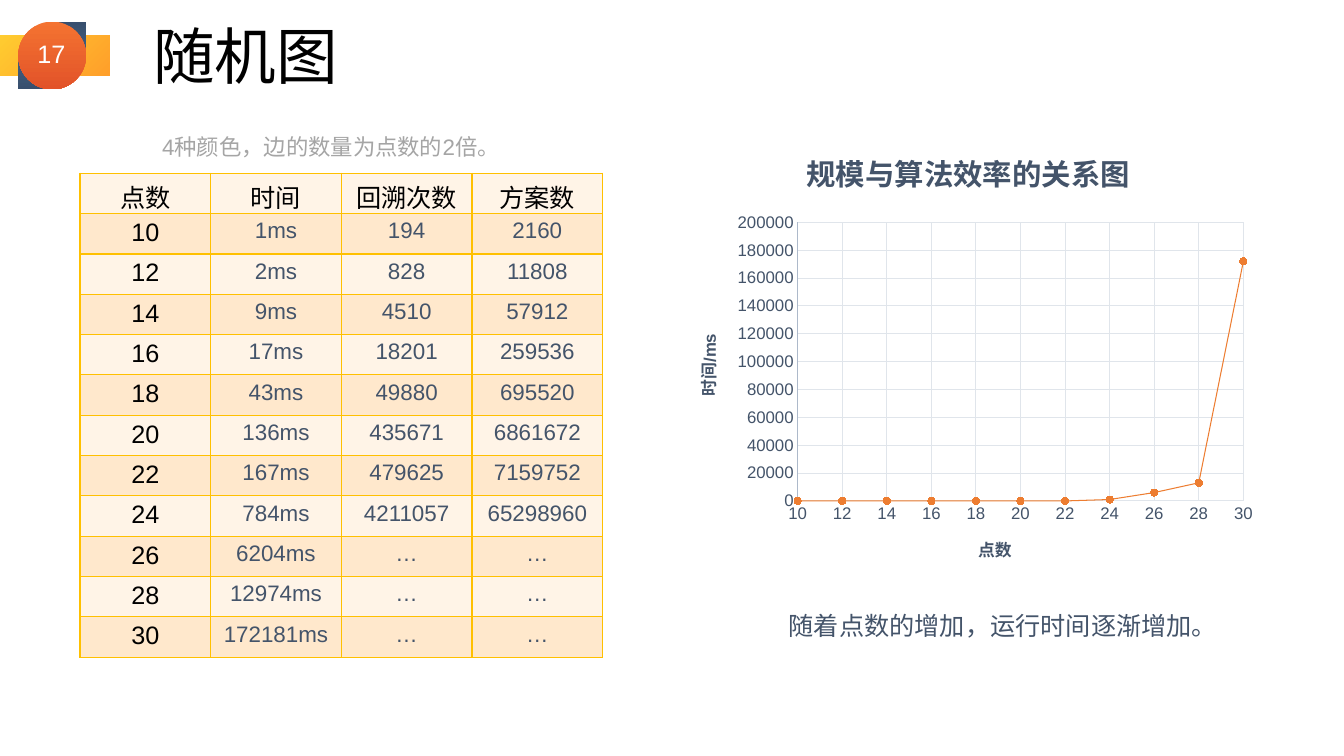
from lxml.etree import SubElement
from pptx import Presentation
from pptx.chart.data import XyChartData
from pptx.dml.color import RGBColor
from pptx.enum.chart import XL_CHART_TYPE, XL_MARKER_STYLE, XL_TICK_MARK
from pptx.enum.shapes import MSO_SHAPE
from pptx.enum.text import MSO_ANCHOR, MSO_AUTO_SIZE, PP_ALIGN
from pptx.oxml import parse_xml
from pptx.oxml.ns import nsdecls, qn
from pptx.util import Pt

BLACK = RGBColor(0x00, 0x00, 0x00)
WHITE = RGBColor(0xFF, 0xFF, 0xFF)
SLATE = RGBColor(0x44, 0x54, 0x6A)
GREY = RGBColor(0xA5, 0xA5, 0xA5)
GRID = RGBColor(0xE0, 0xE5, 0xEB)
AXIS = RGBColor(0xAD, 0xB9, 0xCA)
SERIES = RGBColor(0xED, 0x7D, 0x31)
MARKER = RGBColor(0xF6, 0x7B, 0x28)
BORDER = RGBColor(0xFF, 0xC0, 0x00)
BANDS = (RGBColor(0xFF, 0xF4, 0xE7), RGBColor(0xFF, 0xE8, 0xCC))
YELLOWS = (RGBColor(0xFF, 0xCC, 0x30), RGBColor(0xFF, 0x9F, 0x2A))
BLUES = (RGBColor(0x38, 0x4F, 0x6E), RGBColor(0x4A, 0x6C, 0x90))
ORANGES = (RGBColor(0xF4, 0x73, 0x31), RGBColor(0xE2, 0x53, 0x29))
FONT = "Arial"

TITLE = "随机图"
PAGE = "17"
CONDITION = "4种颜色，边的数量为点数的2倍。"
CONCLUSION = "随着点数的增加，运行时间逐渐增加。"
CHART_TITLE, X_TITLE, Y_TITLE = "规模与算法效率的关系图", "点数", "时间/ms"
HEADER = ("点数", "时间", "回溯次数", "方案数")
RESULTS = [  # points, milliseconds, backtracks, solutions
    (10, 1, "194", "2160"),
    (12, 2, "828", "11808"),
    (14, 9, "4510", "57912"),
    (16, 17, "18201", "259536"),
    (18, 43, "49880", "695520"),
    (20, 136, "435671", "6861672"),
    (22, 167, "479625", "7159752"),
    (24, 784, "4211057", "65298960"),
    (26, 6204, "…", "…"),
    (28, 12974, "…", "…"),
    (30, 172181, "…", "…"),
]
# shape, left, top, width, height, rotation, gradient, angle
BADGE = [
    (MSO_SHAPE.RECTANGLE, 0, 25.3, 78.5, 28.4, 0, YELLOWS, 315),
    (MSO_SHAPE.TEAR, 20.2, 15.4, 41.6, 41.6, 0, BLUES, 270),
    (MSO_SHAPE.TEAR, 13, 22.3, 41.6, 41.6, 180, BLUES, 270),
    (MSO_SHAPE.OVAL, 13, 15.4, 48.5, 48.5, 0, ORANGES, 270),
]
COL_W, ROW_H = 93.35, 28.8
CHART_W, CHART_H = 422.6, 324


def add_run(p, text, size, color, bold=False):
    r = p.add_run()
    r.text = text
    r.font.name, r.font.size, r.font.bold = FONT, Pt(size), bold
    r.font.color.rgb = color


def add_text(s, text, box, size, color, align=PP_ALIGN.LEFT):
    tf = s.shapes.add_textbox(*map(Pt, box)).text_frame
    tf.word_wrap = False
    tf.paragraphs[0].alignment = align
    add_run(tf.paragraphs[0], text, size, color)


def add_badge(s):
    for kind, x, y, w, h, rotation, colors, angle in BADGE:
        sp = s.shapes.add_shape(kind, Pt(x), Pt(y), Pt(w), Pt(h))
        sp.shadow.inherit = False
        sp.rotation = rotation
        sp.line.fill.background()
        sp.fill.gradient()
        sp.fill.gradient_angle = angle
        for stop, color in zip(sp.fill.gradient_stops, colors):
            stop.color.rgb = color
    add_text(s, PAGE, (18.3, 23.8, 36.7, 29), 18, WHITE, PP_ALIGN.CENTER)


def set_borders(cell):
    tcPr = cell._tc.get_or_add_tcPr()
    for i, side in enumerate(("lnL", "lnR", "lnT", "lnB")):
        tcPr.insert(i, parse_xml(
            f'<a:{side} {nsdecls("a")} w="{Pt(1)}"><a:solidFill>'
            f'<a:srgbClr val="{BORDER}"/></a:solidFill></a:{side}>'))


def add_results_table(s):
    rows = [HEADER] + [(str(n), f"{ms}ms", back, found) for n, ms, back, found in RESULTS]
    n_rows, n_cols = len(rows), len(HEADER)
    table = s.shapes.add_table(n_rows, n_cols, Pt(57.1), Pt(123.8),
                               Pt(COL_W * n_cols), Pt(ROW_H * n_rows)).table
    for col in table.columns:
        col.width = Pt(COL_W)
    for i, values in enumerate(rows):
        table.rows[i].height = Pt(ROW_H)
        for j, value in enumerate(values):
            cell = table.cell(i, j)
            cell.fill.solid()
            cell.fill.fore_color.rgb = BANDS[i % 2]
            cell.margin_top, cell.margin_bottom = Pt(3.6), Pt(0)
            set_borders(cell)
            p = cell.text_frame.paragraphs[0]
            p.alignment = PP_ALIGN.CENTER
            heading = i == 0 or j == 0
            add_run(p, value, 18 if heading else 16, BLACK if heading else SLATE)


def place(element, index, **lengths):
    """Give a chart part a manual layout, in points from the chart's corner."""
    layout = element.find(qn("c:layout"))
    if layout is None:
        layout = parse_xml(f'<c:layout {nsdecls("c")}/>')
        element.insert(index, layout)
    manual = SubElement(layout, qn("c:manualLayout"))
    if "w" in lengths:
        SubElement(manual, qn("c:layoutTarget")).set("val", "inner")
    for name in ("xMode", "yMode"):
        SubElement(manual, qn(f"c:{name}")).set("val", "edge")
    for name, value in lengths.items():
        whole = CHART_W if name in "xw" else CHART_H
        SubElement(manual, qn(f"c:{name}")).set("val", str(value / whole))


def set_title(title, text, size, x, y):
    add_run(title.text_frame.paragraphs[0], text, size, SLATE, True)
    place(title.element, 1, x=x, y=y)


def format_axis(axis, low, high, step, line_color):
    axis.minimum_scale, axis.maximum_scale, axis.major_unit = low, high, step
    axis.major_tick_mark = axis.minor_tick_mark = XL_TICK_MARK.NONE
    axis.has_major_gridlines = True
    for line, color in ((axis.format.line, line_color),
                        (axis.major_gridlines.format.line, GRID)):
        line.color.rgb, line.width = color, Pt(0.75)
    font = axis.tick_labels.font
    font.name, font.size, font.color.rgb = FONT, Pt(12), SLATE
    axis.tick_labels.number_format = "0"
    axis.tick_labels.number_format_is_linked = False


def add_time_chart(s):
    data = XyChartData()
    points = data.add_series(Y_TITLE)
    for n, ms, *_ in RESULTS:
        points.add_data_point(n, round(ms, -3))
    chart = s.shapes.add_chart(XL_CHART_TYPE.XY_SCATTER_LINES, Pt(480.2), Pt(92.9),
                               Pt(CHART_W), Pt(CHART_H), data).chart
    chart.font.name, chart.font.size = FONT, Pt(10)
    chart.has_legend = False
    x_axis, y_axis = chart.category_axis, chart.value_axis
    format_axis(x_axis, 10, 30, 2, GRID)
    format_axis(y_axis, 0, 200000, 20000, AXIS)
    set_title(chart.chart_title, CHART_TITLE, 21, 92.2, 9.6)
    set_title(x_axis.axis_title, X_TITLE, 12, 216.3, 286.6)
    set_title(y_axis.axis_title, Y_TITLE, 12, 13.3, 143.3)
    place(chart.element.find(".//" + qn("c:plotArea")), 0, x=89.6, y=66, w=318.4, h=199)
    series = chart.plots[0].series[0]
    series.smooth = False
    series.format.line.color.rgb, series.format.line.width = SERIES, Pt(0.75)
    marker = series.marker
    marker.style, marker.size = XL_MARKER_STYLE.CIRCLE, 5
    marker.format.fill.solid()
    marker.format.fill.fore_color.rgb = MARKER
    marker.format.line.color.rgb = SERIES


def add_title(s):
    sp = s.shapes.title
    sp.left, sp.top, sp.width, sp.height = Pt(102.2), Pt(9.4), Pt(147.6), Pt(60.5)
    tf = sp.text_frame
    tf.word_wrap, tf.auto_size = False, MSO_AUTO_SIZE.NONE
    tf.vertical_anchor = MSO_ANCHOR.TOP
    p = tf.paragraphs[0]
    p.alignment = PP_ALIGN.LEFT
    add_run(p, TITLE, 44, BLACK)


def main():
    prs = Presentation()
    prs.slide_width, prs.slide_height = Pt(960), Pt(540)
    s = prs.slides.add_slide(prs.slide_layouts[5])
    add_badge(s)
    add_title(s)
    add_results_table(s)
    add_time_chart(s)
    add_text(s, CONCLUSION, (556.2, 432.7, 323.3, 28.8), 18, SLATE)
    add_text(s, CONDITION, (108.7, 91.4, 258.5, 26.6), 16, GREY)
    prs.save("out.pptx")


if __name__ == "__main__":
    main()
